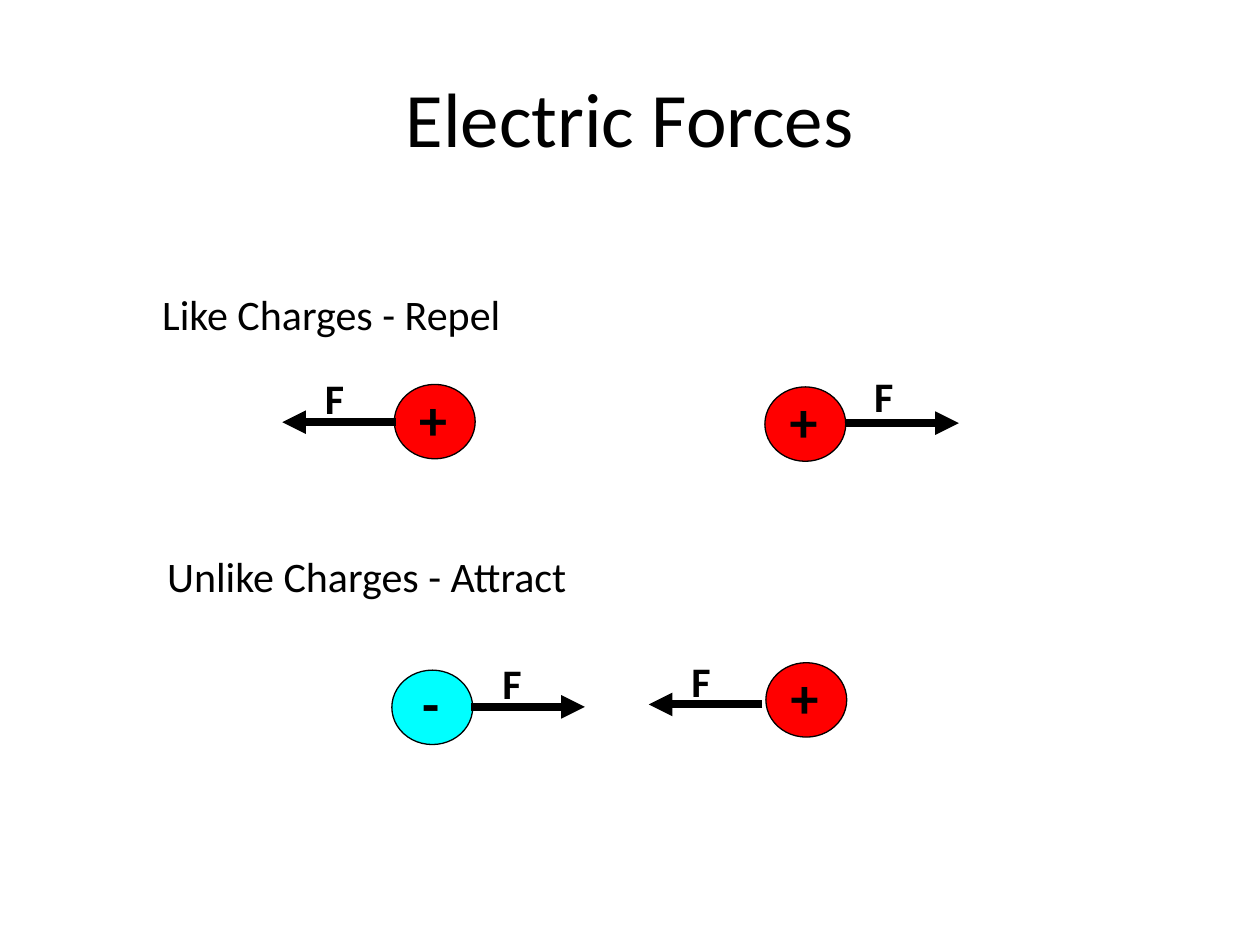
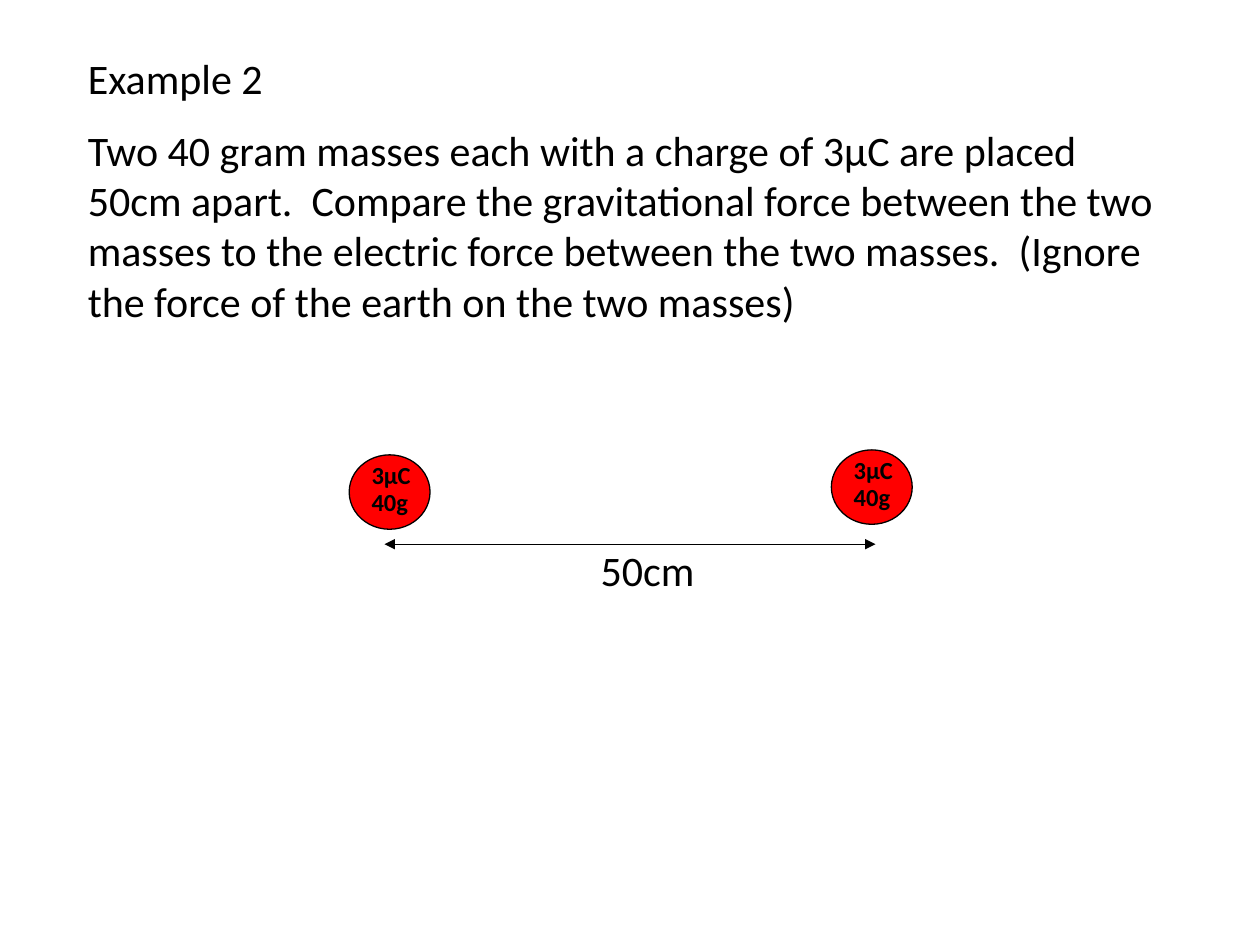
from dataclasses import dataclass

from lxml import etree
from pptx import Presentation
from pptx.dml.color import RGBColor
from pptx.enum.shapes import MSO_CONNECTOR, MSO_SHAPE
from pptx.enum.text import MSO_ANCHOR, PP_ALIGN
from pptx.oxml.ns import qn
from pptx.slide import Slide
from pptx.text.text import TextFrame
from pptx.util import Cm, Pt

STRAIGHT = MSO_CONNECTOR.STRAIGHT
OVAL = MSO_SHAPE.OVAL
MIDDLE = MSO_ANCHOR.MIDDLE
CENTER = PP_ALIGN.CENTER
TITLE_ONLY, BLANK = 5, 6

COLORS = {"ink": "000000", "positive": "FF0000", "negative": "00FFFF"}

# Font formats, set attribute by attribute
TITLE = {"size": Pt(44), "bold": False}
BODY = {"size": Pt(24), "bold": False}
FORCE = {"size": Pt(24), "bold": True}
SIGN = {"size": Pt(32), "bold": True}
MASS = {"size": Pt(14), "bold": True}

# Sizes in centimetres
BALL_WIDTH, BALL_HEIGHT = 1.63, 1.5
FORCE_LENGTH = 2.29
LINE_HEIGHT = 1.27


@dataclass
class Label:
    text: str
    left: float
    top: float
    width: float
    height: float = LINE_HEIGHT


@dataclass
class Ball:
    label: Label  # placed relative to the ball
    color: str
    left: float
    top: float


@dataclass
class Force:
    left: float  # where the arrow starts
    top: float
    direction: int
    label_left: float
    label_top: float


PLUS = Label("+", 0.25, -0.13, 1.3, 1.6)
MINUS = Label("-", 0.36, -0.15, 1.37, 1.6)
MASS_LABEL = Label("3μC\n40g", 0.2, 0.23, 3.12, 1.14)

HEADINGS = [
    Label("Like Charges - Repel", 3.02, 5.69, 11.61),
    Label("Unlike Charges - Attract", 3.12, 10.97, 11.61),
]
CHARGES = [
    Ball(MINUS, "negative", 7.9, 13.51),
    Ball(PLUS, "positive", 15.44, 13.36),
    Ball(PLUS, "positive", 7.95, 7.75),
    Ball(PLUS, "positive", 15.42, 7.8),
]
FORCES = [
    Force(9.5, 14.25, 1, 9.88, 13.13),
    Force(15.37, 14.2, -1, 13.69, 13.08),
    Force(17.04, 8.53, 1, 17.37, 7.34),
    Force(7.98, 8.51, -1, 6.3, 7.39),
]
PROBLEM = Label(
    "Example 2\n"
    "Two 40 gram masses each with a charge of 3μC are placed 50cm apart.  "
    "Compare the gravitational force between the two masses to the electric "
    "force between the two masses.  (Ignore the force of the earth on the "
    "two masses)",
    1.52, 0.94, 22.1, 6.86,
)
MASSES = [
    Ball(MASS_LABEL, "positive", 7.04, 9.17),
    Ball(MASS_LABEL, "positive", 16.76, 9.07),
]
DISTANCE = Label("50cm", 11.86, 10.85, 2.62)


def color(name: str) -> RGBColor:
    return RGBColor.from_string(COLORS[name])


def write(frame: TextFrame, text: str, style: dict, spacing: float = 1.0) -> None:
    """Fill a frame; later paragraphs stand half a font size apart."""
    frame.word_wrap = True
    frame.text = text
    for index, paragraph in enumerate(frame.paragraphs):
        paragraph.line_spacing = spacing
        paragraph.space_before = style["size"] // 2 if index else Pt(0)
        font = paragraph.font
        font.name = "Calibri"
        font.color.rgb = color("ink")
        for name, value in style.items():
            setattr(font, name, value)


def add_label(slide: Slide, label: Label, style: dict, left: float = 0,
              top: float = 0, spacing: float = 1.0) -> None:
    box = slide.shapes.add_textbox(Cm(left + label.left), Cm(top + label.top),
                                   Cm(label.width), Cm(label.height))
    write(box.text_frame, label.text, style, spacing)


def add_ball(slide: Slide, ball: Ball, style: dict, spacing: float = 1.0) -> None:
    shape = slide.shapes.add_shape(OVAL, Cm(ball.left), Cm(ball.top),
                                   Cm(BALL_WIDTH), Cm(BALL_HEIGHT))
    shape.shadow.inherit = False
    shape.fill.solid()
    shape.fill.fore_color.rgb = color(ball.color)
    shape.line.color.rgb = color("ink")
    shape.line.width = Pt(0.75)
    add_label(slide, ball.label, style, ball.left, ball.top, spacing)


def add_arrow(slide: Slide, start: float, end: float, top: float,
              width: float, ends: tuple[str, ...]) -> None:
    """Draw a horizontal line with a triangle at each of the named ends."""
    arrow = slide.shapes.add_connector(STRAIGHT, Cm(start), Cm(top), Cm(end), Cm(top))
    arrow.line.color.rgb = color("ink")
    arrow.line.width = Pt(width)
    line = arrow.line._get_or_add_ln()
    for end_name in ends:
        etree.SubElement(line, qn(f"a:{end_name}"), type="triangle")
    etree.SubElement(arrow._element.spPr, qn("a:effectLst"))


def build_forces(presentation: Presentation) -> None:
    slide = presentation.slides.add_slide(presentation.slide_layouts[TITLE_ONLY])

    # Title
    title = slide.shapes.title
    title.left, title.top, title.width, title.height = map(Cm, (1.27, 0.76, 22.86, 3.18))
    write(title.text_frame, "Electric Forces", TITLE)
    title.text_frame.vertical_anchor = MIDDLE
    title.text_frame.paragraphs[0].alignment = CENTER

    # Charges and the forces on them
    for heading in HEADINGS:
        add_label(slide, heading, BODY)
    for charge in CHARGES:
        add_ball(slide, charge, SIGN)
    for force in FORCES:
        end = force.left + force.direction * FORCE_LENGTH
        add_arrow(slide, force.left, end, force.top, 4.5, ("tailEnd",))
        add_label(slide, Label("F", force.label_left, force.label_top, 1.78), FORCE)


def build_example(presentation: Presentation) -> None:
    slide = presentation.slides.add_slide(presentation.slide_layouts[BLANK])

    # Problem text
    add_label(slide, PROBLEM, BODY)

    # Two masses and the distance between them
    for mass in MASSES:
        add_ball(slide, mass, MASS, spacing=0.5)
    add_arrow(slide, 7.75, 17.65, 10.97, 0.75, ("headEnd", "tailEnd"))
    add_label(slide, DISTANCE, BODY)


def main() -> None:
    presentation = Presentation()
    presentation.slide_width, presentation.slide_height = Cm(25.4), Cm(19.05)
    build_forces(presentation)
    build_example(presentation)
    presentation.save("out.pptx")


if __name__ == "__main__":
    main()
